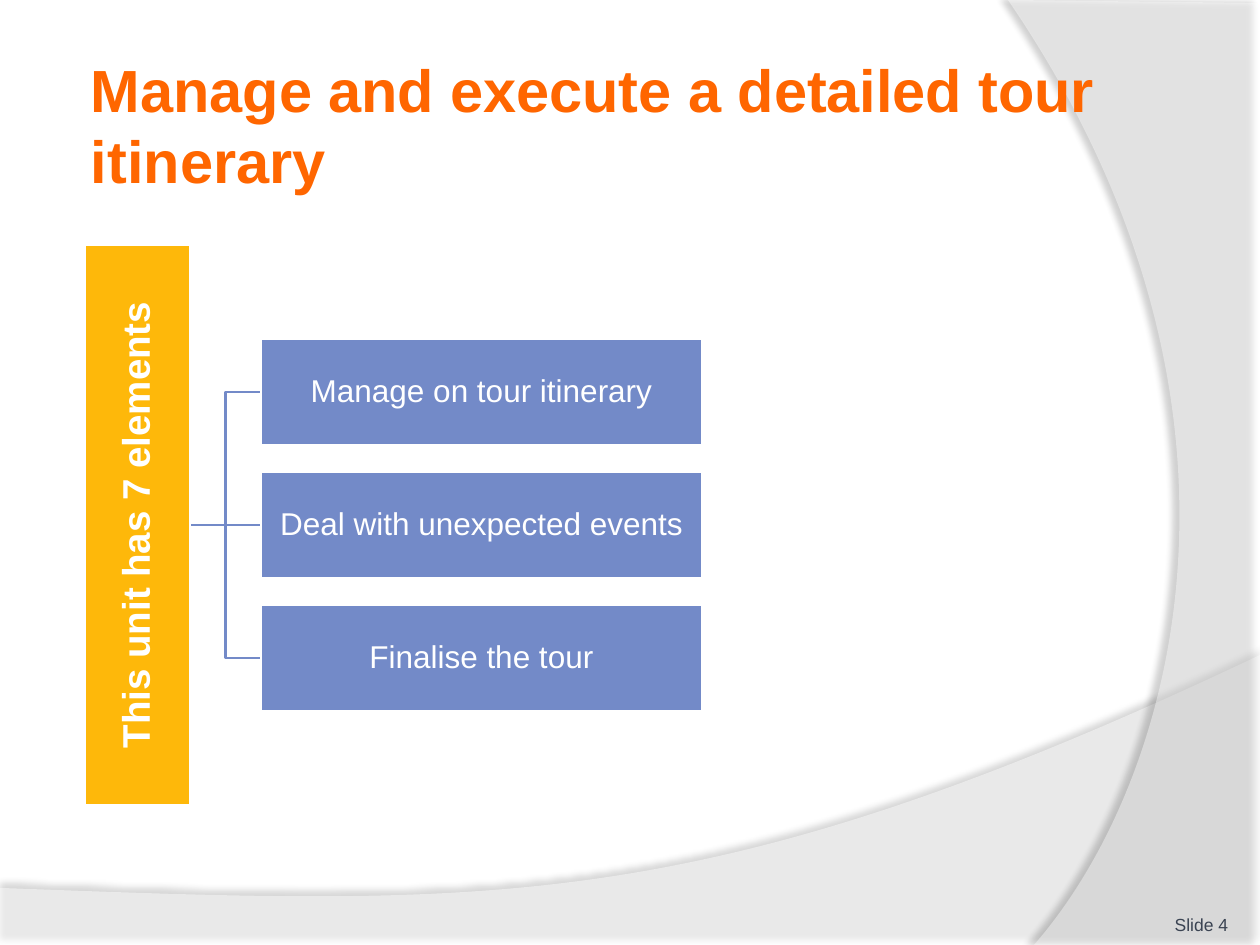
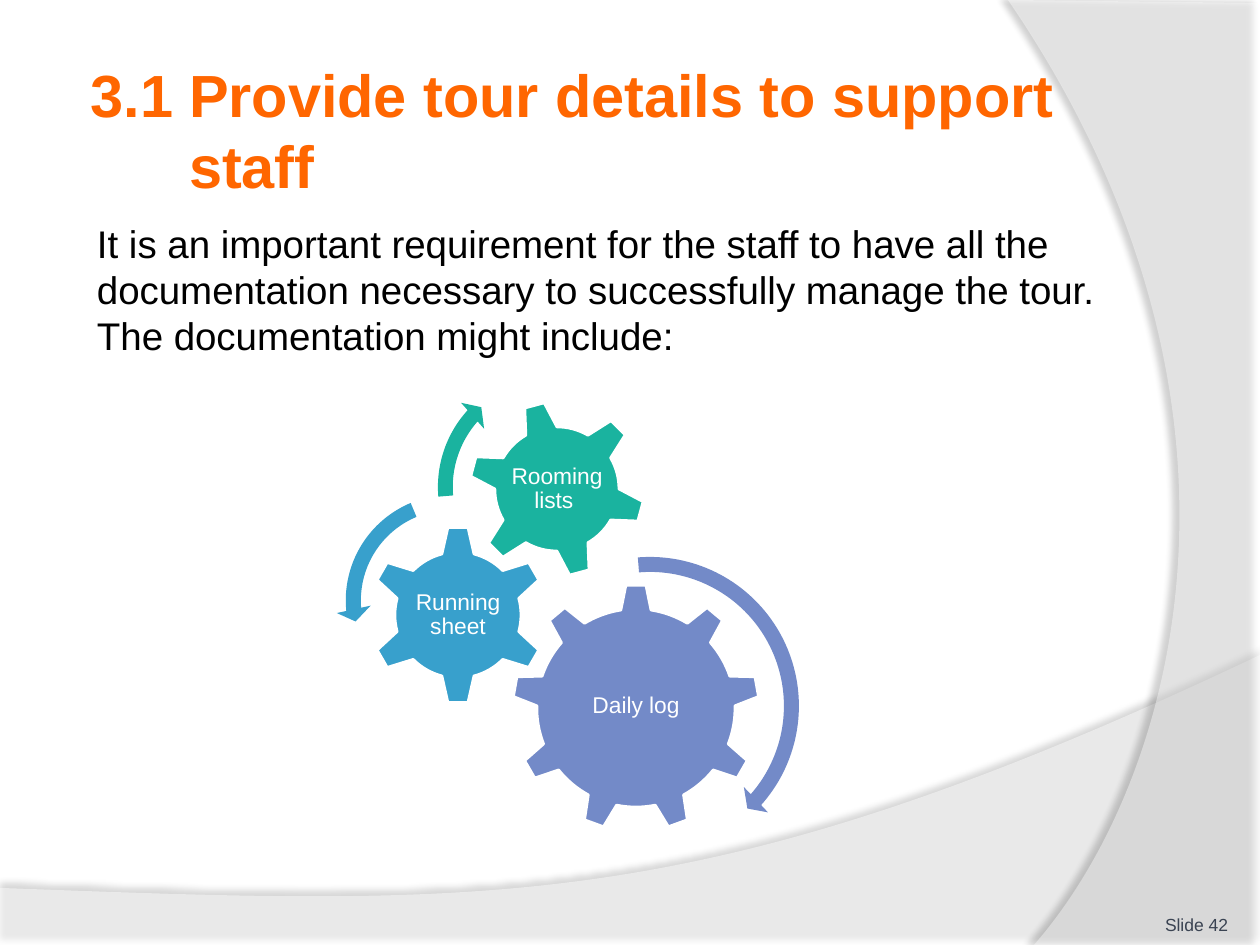
from math import asin, atan, cos, hypot, pi, radians, sin, tan

from lxml import etree
from pptx import Presentation
from pptx.dml.color import RGBColor
from pptx.enum.shapes import MSO_CONNECTOR, MSO_SHAPE
from pptx.enum.text import MSO_ANCHOR, MSO_AUTO_SIZE, PP_ALIGN
from pptx.oxml.ns import qn
from pptx.util import Pt

PX = 914400 / 126
LEFT, CENTER, RIGHT = PP_ALIGN.LEFT, PP_ALIGN.CENTER, PP_ALIGN.RIGHT
TOP, MIDDLE, BOTTOM = MSO_ANCHOR.TOP, MSO_ANCHOR.MIDDLE, MSO_ANCHOR.BOTTOM
ELBOW, STRAIGHT = MSO_CONNECTOR.ELBOW, MSO_CONNECTOR.STRAIGHT
RECTANGLE = MSO_SHAPE.RECTANGLE
ARROW, LEFT_ARROW = MSO_SHAPE.CIRCULAR_ARROW, MSO_SHAPE.LEFT_CIRCULAR_ARROW

COLOURS = {name: RGBColor.from_string(value) for name, value in {
    "title": "FF6600", "text": "000000", "footer": "3A4352", "white": "FFFFFF",
    "amber": "FEB80A", "indigo": "738AC8", "blue": "38A0CC", "teal": "1AB39F",
}.items()}


def write(shape, text, size, colour, align=CENTER, anchor=MIDDLE,
          inset=(2, 2), spacing=0.9, bold=False):
    """Fill a shape with one formatted paragraph; inset is across, down."""
    frame = shape.text_frame
    frame.word_wrap = True
    frame.auto_size = MSO_AUTO_SIZE.NONE
    frame.vertical_anchor = anchor
    frame.margin_left = frame.margin_right = round(inset[0] * PX)
    frame.margin_top = frame.margin_bottom = round(inset[1] * PX)
    para = frame.paragraphs[0]
    para.text = text
    para.alignment = align
    para.line_spacing = spacing
    para.font.name = "Arial"
    para.font.size = Pt(size)
    para.font.bold = bold
    para.font.color.rgb = COLOURS[colour]
    return para


def draw_outline(page, start, segments, fill):
    """Draw a closed outline; a segment has one point (line) or three (curve)."""
    segments = [[[round(v * PX) for v in point] for point in segment]
                for segment in segments]
    builder = page.shapes.build_freeform(*(round(v * PX) for v in start))
    builder.add_line_segments([segment[-1] for segment in segments])
    shape = builder.convert_to_shape()
    lines = list(shape._element.spPr.iter(qn("a:lnTo")))
    for line, segment in zip(lines, segments):
        if len(segment) == 3:
            line.tag = qn("a:cubicBezTo")
            for index, (x, y) in enumerate(segment[:2]):
                line.insert(index, etree.Element(
                    qn("a:pt"), x=str(x - shape.left), y=str(y - shape.top)))
    shape.fill.solid()
    shape.fill.fore_color.rgb = COLOURS[fill]
    shape.shadow.inherit = False
    return shape


deck = Presentation()
deck.slide_width, deck.slide_height = round(1260 * PX), round(945 * PX)

# Background bands: start, segments, fill and shadow opacity, shadow distance
# and direction
bands = [
    ((0, 888), [[(0, 946)], [(1260, 946)], [(1260, 655)],
                [(704, 919), (493, 906), (0, 888)]], 45, 35, 3.5, 270),
    ((1260, 3), [[(1260, 945)], [(1034, 945)],
                 [(1178, 780), (1283, 402), (1008, 0)]], 40, 45, 4, 180),
]
titles = [
    ("Manage and execute a detailed tour itinerary", 158, "Slide 4"),
    ("3.1\tProvide tour details to support staff", 169, "Slide 42"),
]
pages = []
for title_text, title_height, footer_text in titles:
    page = deck.slides.add_slide(deck.slide_layouts[5])
    pages.append(page)
    for depth, (start, segments, opacity, shade, distance, direction) in enumerate(bands):
        band = draw_outline(page, start, segments, "white")
        band.line.fill.background()
        properties = band._element.spPr
        white = properties.find(qn("a:solidFill"))[0]
        etree.SubElement(white, qn("a:alpha"), val=str(opacity * 1000))
        shadow = etree.SubElement(
            properties.find(qn("a:effectLst")), qn("a:outerShdw"), blurRad=str(Pt(4)),
            dist=str(Pt(distance)), dir=str(direction * 60000), rotWithShape="0")
        black = etree.SubElement(shadow, qn("a:srgbClr"), val="000000")
        etree.SubElement(black, qn("a:alpha"), val=str(shade * 1000))
        page.shapes._spTree.insert(2 + depth, band._element)

    title = page.shapes.title
    title.left, title.top, title.width, title.height = (
        round(v * PX) for v in (85, 45, 1029, title_height))
    title_para = write(title, title_text, 34, "title", LEFT, MIDDLE, (6, 6), 1.0, True)
    if "\t" in title_text:
        hanging = round(98 * PX)
        title_para._p.get_or_add_pPr().set("marL", str(hanging))
        title_para._p.get_or_add_pPr().set("indent", str(-hanging))
    footer = page.shapes.add_textbox(*(round(v * PX) for v in (1124, 885, 104, 50)))
    write(footer, footer_text, 10, "footer", RIGHT, BOTTOM, (0, 0), 1.0)

elements_page, gears_page = pages

# Unit elements: a bar with branches to three boxes
elements = ["Manage on tour itinerary", "Deal with unexpected events", "Finalise the tour"]
bar_area = (85, 245, 105, 560)
box_areas = [(261, 339 + 133 * row, 441, 106) for row in range(3)]
branches = []
for left, top, width, height in box_areas:
    middle = top + height // 2
    kind = STRAIGHT if middle == 525 else ELBOW
    branch = elements_page.shapes.add_connector(
        kind, *(round(v * PX) for v in (190, 525, left, middle)))
    branch.line.color.rgb = COLOURS["indigo"]
    branch.line.width = Pt(1.5)
    etree.SubElement(branch._element.spPr, qn("a:effectLst"))
    branches.append(branch)

boxes = []
for area, fill in [(bar_area, "amber")] + [(area, "indigo") for area in box_areas]:
    box = elements_page.shapes.add_shape(RECTANGLE, *(round(v * PX) for v in area))
    box.fill.solid()
    box.fill.fore_color.rgb = COLOURS[fill]
    box.line.color.rgb = COLOURS["white"]
    box.line.width = Pt(1.5)
    box.shadow.inherit = False
    boxes.append(box)
bar, *element_boxes = boxes
write(bar, "This unit has 7 elements", 22, "white", bold=True)
bar.text_frame._txBody.bodyPr.set("vert", "vert270")
for branch, box, element in zip(branches, element_boxes, elements):
    write(box, element, 18, "white")
    branch.begin_connect(bar, 3)
    branch.end_connect(box, 1)

# Tour documents: introduction, gears and turning arrows
intro = gears_page.shapes.add_textbox(*(round(v * PX) for v in (84, 214, 1030, 150)))
write(intro, "It is an important requirement for the staff to have all the documentation "
      "necessary to successfully manage the tour. The documentation might include:",
      22, "text", LEFT, TOP, (13, 6), 1.0)

# Label, colour, centre, teeth, turn in degrees, body and tip radius, half widths
gears = [
    ("Daily log", "indigo", (636, 708), 9, 0, 99, 123, 15, 10),
    ("Running sheet", "blue", (458, 615), 6, 0, 63, 88, 16, 10),
    ("Rooming lists ", "teal", (557, 489), 6, -15, 62, 87, 16, 10),
]
for label, fill, (x, y), teeth, turn, body, tip, root_half, tip_half in gears:
    pitch = 2 * pi / teeth
    root, end = asin(root_half / body), asin(tip_half / tip)
    reach = 4 / 3 * tan((pitch - 2 * root) / 4)
    control, lead = body * hypot(1, reach), atan(reach)
    segments = []
    for tooth in range(teeth):
        angle = radians(turn) + tooth * pitch
        following = angle + pitch - root
        polar = [[(tip, angle - end)], [(tip, angle + end)], [(body, angle + root)],
                 [(control, angle + root + lead), (control, following - lead),
                  (body, following)]]
        segments += [[(x + radius * sin(a), y - radius * cos(a)) for radius, a in segment]
                     for segment in polar]
    gear = draw_outline(gears_page, segments[-1][-1], segments, fill)
    gear.line.color.rgb = COLOURS["white"]
    gear.line.width = Pt(1.5)
    write(gear, label, 13, "white", inset=(34, 34))

# Adjustments are in percent
arrows = [
    (ARROW, "indigo", (491, 547, 318, 318), (4.7, 299, 2489.3, 15920.4, 5.5)),
    (LEFT_ARROW, "blue", (336, 485, 231, 231), (6.5, 430, 10489.1, 14837.8, 7.5)),
    (ARROW, "teal", (428, 363, 248, 248), (6, 394.1, 13313.8, 10508.2, 7)),
]
for kind, fill, area, adjustments in arrows:
    arrow = gears_page.shapes.add_shape(kind, *(round(v * PX) for v in area))
    for index, percent in enumerate(adjustments):
        arrow.adjustments[index] = percent / 100
    arrow.fill.solid()
    arrow.fill.fore_color.rgb = COLOURS[fill]
    arrow.line.fill.background()
    arrow.shadow.inherit = False

deck.save("out.pptx")
